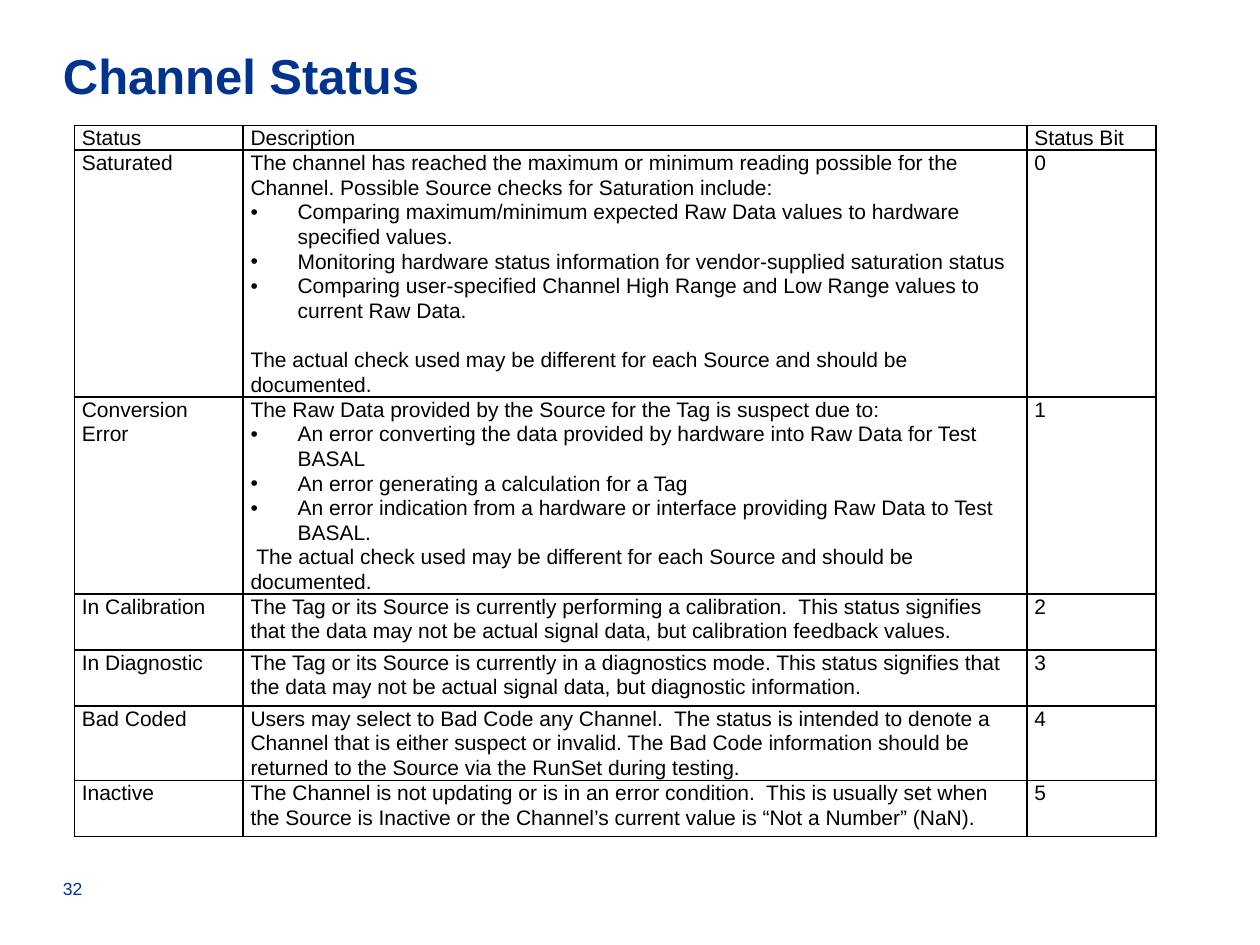
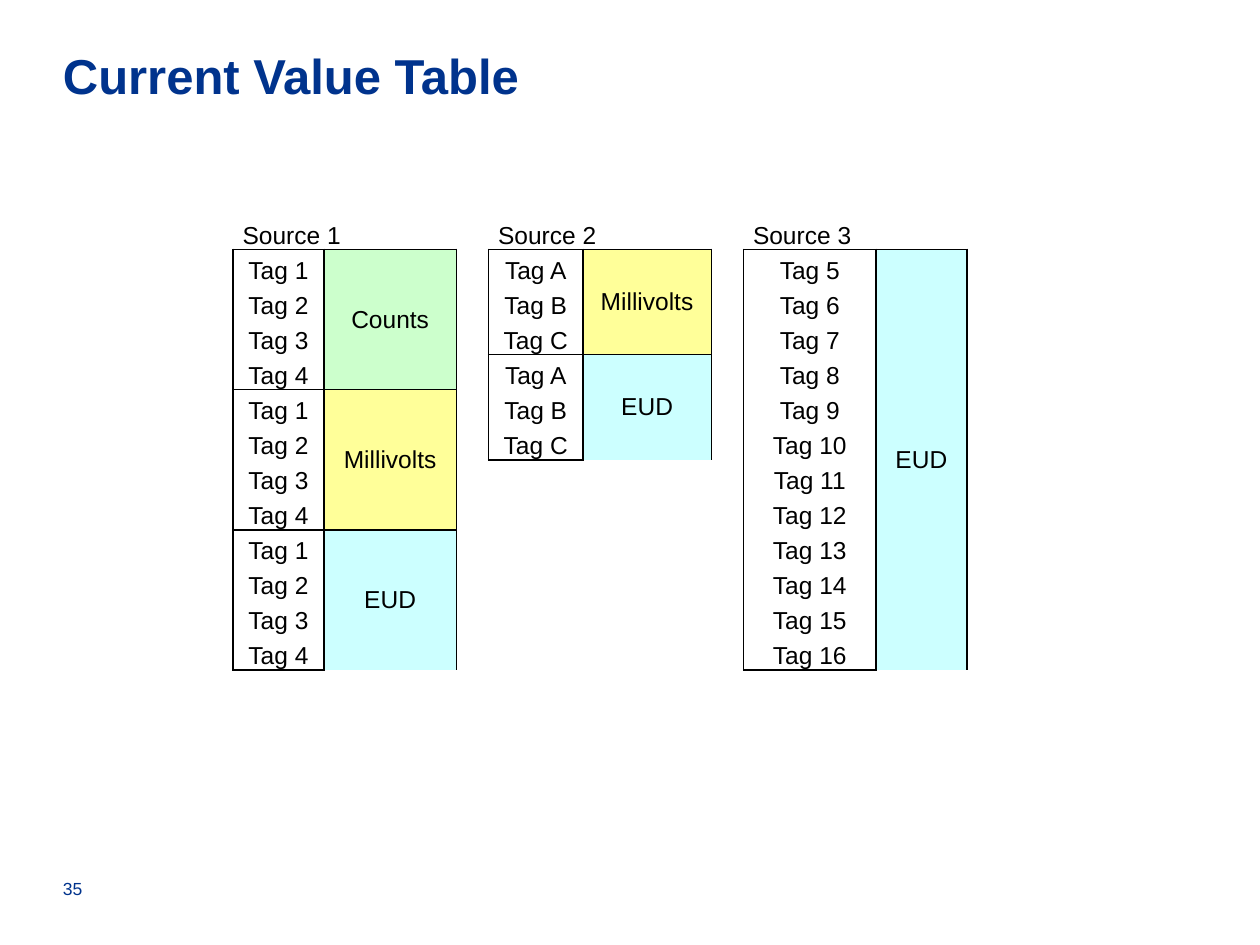
import pptx
import pptx.dml.color
import pptx.enum.text
import pptx.oxml
import pptx.oxml.ns
import pptx.util
import lxml.etree

Cm = pptx.util.Cm
Pt = pptx.util.Pt
RGBColor = pptx.dml.color.RGBColor
ANCHOR = pptx.enum.text.MSO_ANCHOR
ALIGN = pptx.enum.text.PP_ALIGN
qn = pptx.oxml.ns.qn

NAVY = RGBColor(0x00, 0x33, 0x8D)
BLACK = RGBColor(0x00, 0x00, 0x00)
GREEN = RGBColor(0xCC, 0xFF, 0xCC)
YELLOW = RGBColor(0xFF, 0xFF, 0x99)
CYAN = RGBColor(0xCC, 0xFF, 0xFF)
FONT = "Arial"
PLAIN_TABLE = "{2D5ABB26-0587-4C30-8999-92F81FD0307C}"
BULLET = "• "
BULLET_INDENT = Cm(0.95)
STATUS_LINE = Pt(14.1)

ACTUAL_CHECK = "The actual check used may be different for each Source and should be documented."
STATUSES = [
    ("Status", ["Description"], "Status Bit"),
    ("Saturated", [
        "The channel has reached the maximum or minimum reading possible for the Channel. "
        "Possible Source checks for Saturation include:",
        "• Comparing maximum/minimum expected Raw Data values to hardware specified values.",
        "• Monitoring hardware status information for vendor-supplied saturation status",
        "• Comparing user-specified Channel High Range and Low Range values to current Raw Data.",
        ACTUAL_CHECK], "0"),
    ("Conversion Error", [
        "The Raw Data provided by the Source for the Tag is suspect due to:",
        "• An error converting the data provided by hardware into Raw Data for Test BASAL",
        "• An error generating a calculation for a Tag",
        "• An error indication from a hardware or interface providing Raw Data to Test BASAL.",
        ACTUAL_CHECK], "1"),
    ("In Calibration", [
        "The Tag or its Source is currently performing a calibration.  This status signifies "
        "that the data may not be actual signal data, but calibration feedback values."], "2"),
    ("In Diagnostic", [
        "The Tag or its Source is currently in a diagnostics mode. This status signifies "
        "that the data may not be actual signal data, but diagnostic information."], "3"),
    ("Bad Coded", [
        "Users may select to Bad Code any Channel.  The status is intended to denote a Channel "
        "that is either suspect or invalid. The Bad Code information should be returned to the "
        "Source via the RunSet during testing."], "4"),
    ("Inactive", [
        "The Channel is not updating or is in an error condition.  This is usually set when the "
        "Source is Inactive or the Channel’s current value is “Not a Number” (NaN)."], "5"),
]
STATUS_WIDTHS = [3.4, 15.8, 2.6]
STATUS_HEIGHTS = [0.38, 4.55, 3.78, 1.13, 1.13, 1.5, 1.13]

NUMBERED = [f"Tag {n}" for n in range(1, 5)]
LETTERED = [f"Tag {letter}" for letter in "ABC"]
SOURCES = [
    ("Source 1", NUMBERED, [("Counts", GREEN), ("Millivolts", YELLOW), ("EUD", CYAN)]),
    ("Source 2", LETTERED, [("Millivolts", YELLOW), ("EUD", CYAN)]),
    ("Source 3", [f"Tag {n}" for n in range(5, 17)], [("EUD", CYAN)]),
]
VALUE_WIDTHS = [1.83, 2.67, 0.65, 1.9, 2.59, 0.65, 2.67, 1.83]


class Deck:
    def __init__(self):
        self.presentation = pptx.Presentation()
        self.presentation.slide_width = Cm(25.4)
        self.presentation.slide_height = Cm(19.05)
        self.slide = None

    def new_slide(self, title, number):
        self.slide = self.presentation.slides.add_slide(self.presentation.slide_layouts[6])
        self.text(title, 0.73, 22.86, 1.57, 28, ANCHOR.MIDDLE, True)
        self.text(number, 17.1, 2.2, 1.02, 10, ANCHOR.BOTTOM)

    def format_runs(self, paragraph, size, color, bold=False):
        for run in paragraph.runs:
            run.font.name = FONT
            run.font.size = Pt(size)
            run.font.bold = bold
            run.font.color.rgb = color

    def text(self, words, top, width, height, size, anchor, bold=False):
        frame = self.slide.shapes.add_textbox(Cm(1.27), Cm(top), Cm(width), Cm(height)).text_frame
        frame.margin_left = frame.margin_right = frame.margin_top = frame.margin_bottom = 0
        frame.word_wrap = True
        frame.vertical_anchor = anchor
        frame.text = words
        self.format_runs(frame.paragraphs[0], size, NAVY, bold)

    def table(self, left, top, widths, height, row_count, size, margin):
        table = self.slide.shapes.add_table(
            row_count, len(widths), Cm(left), Cm(top), Cm(sum(widths)), Cm(height)).table
        table.first_row = table.horz_banding = False
        table._tbl.tblPr.find(qn("a:tableStyleId")).text = PLAIN_TABLE
        for column, width in zip(table.columns, widths):
            column.width = Cm(width)
        for cell in table.iter_cells():
            cell.margin_left = cell.margin_right = Cm(margin)
            cell.margin_top = cell.margin_bottom = 0
            cell.fill.background()
            end = lxml.etree.SubElement(
                cell.text_frame.paragraphs[0]._p, qn("a:endParaRPr"))
            end.set("sz", str(size * 100))
        return table

    def borders(self, cell, edges):
        properties = cell._tc.get_or_add_tcPr()
        for position, edge in enumerate("LRTB"):
            line = lxml.etree.Element(qn(f"a:ln{edge}"), w=str(Pt(1)))
            if edge in edges:
                fill = lxml.etree.SubElement(line, qn("a:solidFill"))
                lxml.etree.SubElement(fill, qn("a:srgbClr"), val=str(BLACK))
            else:
                lxml.etree.SubElement(line, qn("a:noFill"))
            properties.insert(position, line)

    def cell(self, cell, words, size, anchor, align=ALIGN.LEFT, spacing=None, fill=None):
        cell.vertical_anchor = anchor
        cell.text_frame.text = "\n".join(line.removeprefix(BULLET) for line in words)
        for line, paragraph in zip(words, cell.text_frame.paragraphs):
            paragraph.alignment = align
            paragraph.line_spacing = spacing
            self.format_runs(paragraph, size, BLACK)
            if line.startswith(BULLET):
                self.bullet(paragraph)
        if fill is not None:
            cell.fill.solid()
            cell.fill.fore_color.rgb = fill

    def bullet(self, paragraph):
        properties = paragraph._p.get_or_add_pPr()
        properties.set("marL", str(BULLET_INDENT))
        properties.set("indent", str(-BULLET_INDENT))
        lxml.etree.SubElement(properties, qn("a:buFont"), typeface=FONT)
        lxml.etree.SubElement(properties, qn("a:buChar"), char=BULLET.strip())


def channel_status(deck):
    deck.new_slide("Channel Status", "32")
    table = deck.table(1.5, 2.53, STATUS_WIDTHS, sum(STATUS_HEIGHTS), len(STATUSES), 12, 0.15)
    for row, (status, description, bit) in enumerate(STATUSES):
        table.rows[row].height = Cm(STATUS_HEIGHTS[row])
        for column, words in enumerate(([status], description, [bit])):
            cell = table.cell(row, column)
            deck.cell(cell, words, 12, ANCHOR.TOP, spacing=STATUS_LINE)
            deck.borders(cell, "LRTB")
    table.cell(1, 1).text_frame.paragraphs[-1].space_before = STATUS_LINE
    conversion_check = table.cell(2, 1).text_frame.paragraphs[-1]
    conversion_check._p.get_or_add_pPr().set("indent", str(Cm(0.12)))


def current_values(deck):
    deck.new_slide("Current Value Table", "35")
    table = deck.table(4.7, 4.32, VALUE_WIDTHS, 9.2, 13, 14, 0.19)
    for index, (source, tags, units) in enumerate(SOURCES):
        column = 3 * index
        heading = table.cell(0, column)
        heading.merge(table.cell(0, column + 1))
        deck.cell(heading, [source], 14, ANCHOR.BOTTOM)
        for offset in range(2):
            deck.borders(table.cell(0, column + offset), "B")
        for block, (unit, color) in enumerate(units):
            first = 1 + block * len(tags)
            last = first + len(tags) - 1
            unit_cell = table.cell(first, column + 1)
            unit_cell.merge(table.cell(last, column + 1))
            deck.cell(unit_cell, [unit], 14, ANCHOR.MIDDLE, ALIGN.CENTER, fill=color)
            for row, tag in enumerate(tags, first):
                edges = "LR" + "T" * (row == first) + "B" * (row == last)
                tag_cell = table.cell(row, column)
                deck.cell(tag_cell, [tag], 14, ANCHOR.BOTTOM, ALIGN.CENTER)
                for offset in range(2):
                    deck.borders(table.cell(row, column + offset), edges)


def main():
    deck = Deck()
    channel_status(deck)
    current_values(deck)
    deck.presentation.save("out.pptx")


if __name__ == "__main__":
    main()
